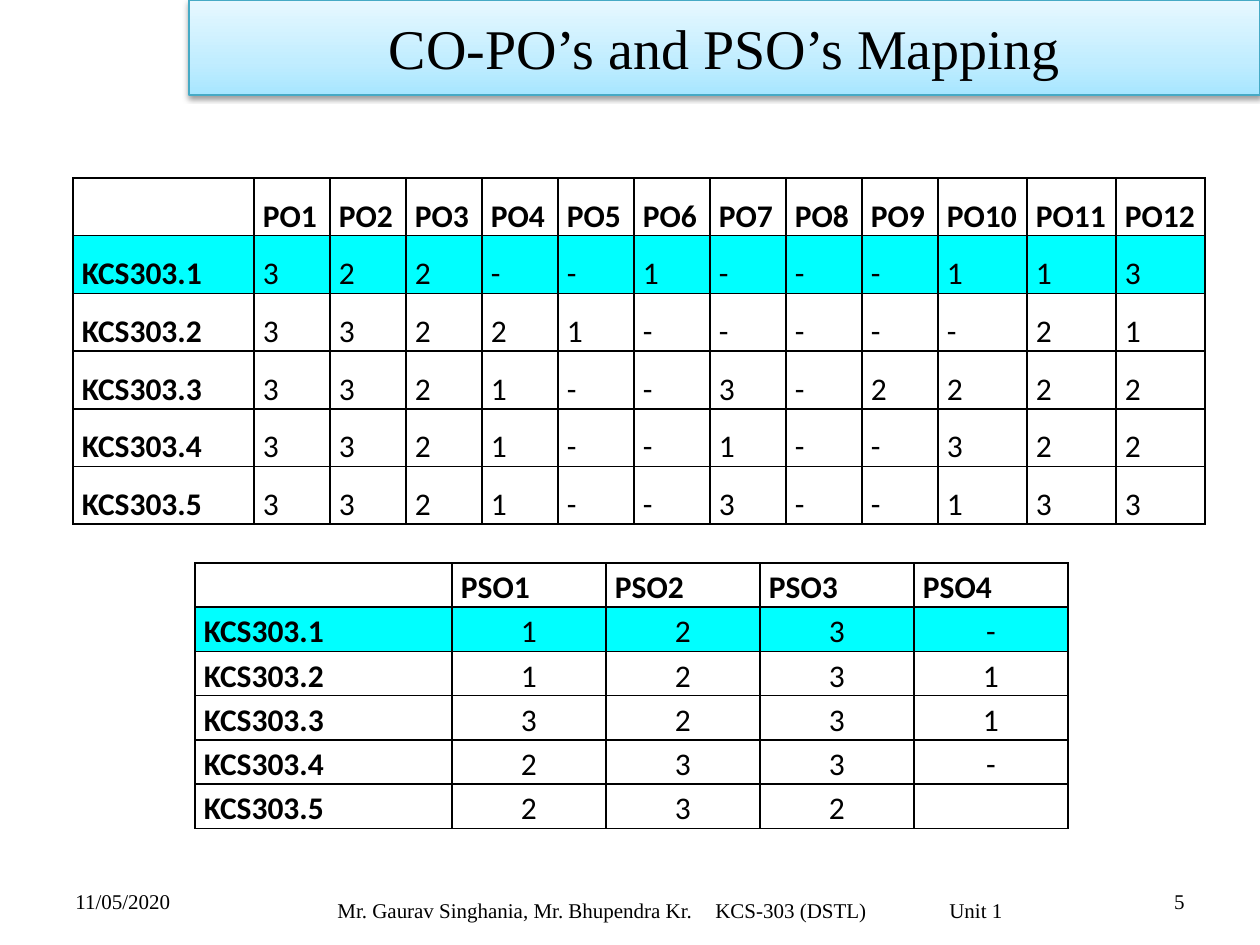
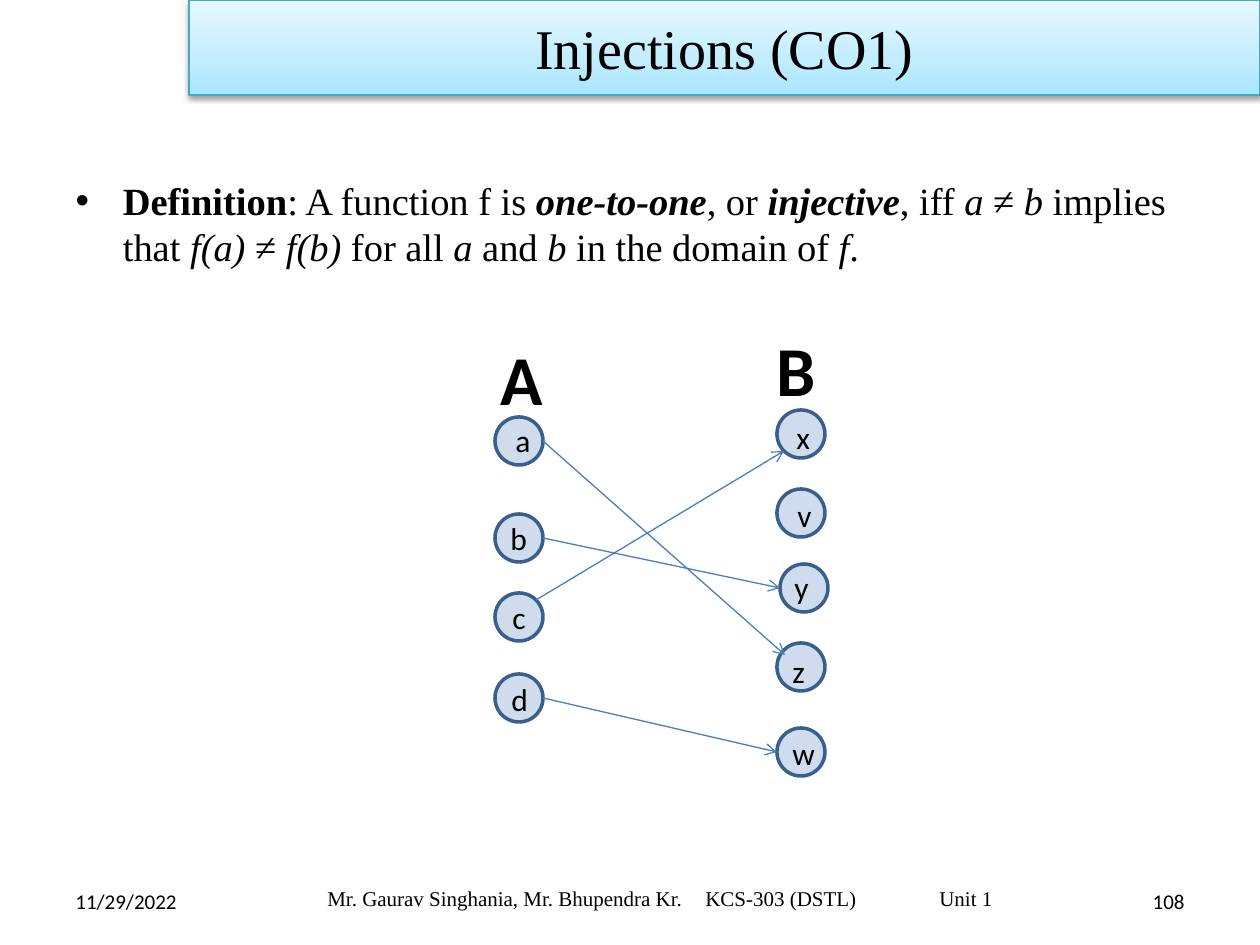
from collections import namedtuple

from pptx import Presentation
from pptx.dml.color import RGBColor
from pptx.enum.shapes import MSO_CONNECTOR, MSO_SHAPE
from pptx.enum.text import MSO_ANCHOR, PP_ALIGN
from pptx.oxml import parse_xml
from pptx.oxml.ns import nsdecls, qn
from pptx.util import Emu, Pt

PX = 914400 / 126
SLIDE_WIDTH, SLIDE_HEIGHT = 1260, 945

BLACK = RGBColor(0x00, 0x00, 0x00)
HIGHLIGHT = RGBColor(0x00, 0xFF, 0xFF)
BAND_LINE = RGBColor(0x46, 0xAA, 0xC5)
BAND_STOPS = [
    (0, RGBColor(0xA7, 0xE6, 0xFF)),
    (35, RGBColor(0xC1, 0xED, 0xFF)),
    (100, RGBColor(0xE7, 0xF8, 0xFF)),
]
NODE_FILL = RGBColor(0x4F, 0x81, 0xBD)
NODE_LINE = RGBColor(0x3A, 0x5F, 0x8C)
ARROW_LINE = RGBColor(0x4B, 0x7E, 0xBC)

SERIF, SANS = "Times New Roman", "Calibri"
FOOTER = "Mr. Gaurav Singhania, Mr. Bhupendra Kr.\tKCS-303 (DSTL)\tUnit 1"
FOOTER_TABS = (378, 612)

Box = namedtuple("Box", "left top width height")
TITLE_BAND = Box(189, 0, 1071, 95)
DATE = Box(63, 876, 294, 50)
NUMBER = Box(903, 876, 294, 50)
BODY = Box(63, 171, 1134, 648)

PO_COLUMNS = [181] + [76] * 9 + [89] * 3
PO_LEVELS = [
    "3,2,2,-,-,1,-,-,-,1,1,3",
    "3,3,2,2,1,-,-,-,-,-,2,1",
    "3,3,2,1,-,-,3,-,2,2,2,2",
    "3,3,2,1,-,-,1,-,-,3,2,2",
    "3,3,2,1,-,-,3,-,-,1,3,3",
]
PSO_COLUMNS = [257] + [154] * 4
PSO_LEVELS = ["1,2,3,-", "1,2,3,1", "3,2,3,1", "2,3,3,-", "2,3,2,"]

DEFINITION = [
    ("Definition", "b"), (": A function f is ", ""), ("one-to-one", "bi"),
    (", or ", ""), ("injective", "bi"), (", iff ", ""), ("a ", "i"),
    ("≠ ", ""), ("b ", "i"), ("implies that ", ""), ("f(a) ", "i"),
    ("≠ ", ""), ("f(b)", "i"), (" for all ", ""), ("a", "i"),
    (" and ", ""), ("b", "i"), (" in the domain of ", ""), ("f", "i"),
    (".", ""),
]

NODE_SIZE = 48
# Node name: circle position in the diagram, then label offset in the circle
NODES = {
    "a": (7, 97, 8, -2),
    "b": (7, 194, 3, -1),
    "c": (7, 273, 5, -1),
    "d": (7, 354, 4, 0),
    "v": (289, 169, 8, 1),
    "x": (289, 90, 7, 2),
    "y": (292, 244, 2, -2),
    "z": (289, 323, 3, 3),
    "w": (289, 408, 3, 0),
}
SET_NAMES = [("A", 0, 9), ("B", 276, 0)]
RIGHT, LEFT = (48, 24), (0, 24)
TOP_RIGHT, TOP_LEFT, BOTTOM_LEFT = (41, 7), (8, 12), (7, 41)
MAPPING = [
    ("b", RIGHT, "y", LEFT),
    ("a", RIGHT, "z", TOP_LEFT),
    ("c", TOP_RIGHT, "x", BOTTOM_LEFT),
    ("d", RIGHT, "w", LEFT),
]


def px(length):
    return Emu(round(length * PX))


def emu_box(box):
    return [px(length) for length in box]


def move(shape, box):
    shape.left, shape.top, shape.width, shape.height = emu_box(box)


def write(frame, text, *, size, font=SERIF, bold=False, align=None,
          line_spacing=None, space_after=None, tabs=()):
    """Fill the first paragraph from a string or from (text, style) pairs."""
    paragraph = frame.paragraphs[0]
    if tabs:
        stops = "".join(f'<a:tab pos="{px(tab)}" algn="l"/>' for tab in tabs)
        paragraph._p.get_or_add_pPr().append(
            parse_xml(f'<a:tabLst {nsdecls("a")}>{stops}</a:tabLst>'))
    paragraph.alignment = align
    paragraph.space_before = Pt(0)
    paragraph.line_spacing = line_spacing
    paragraph.space_after = space_after
    pairs = [(text, "b" if bold else "")] if isinstance(text, str) else text
    for words, style in pairs:
        run = paragraph.add_run()
        run.text = words
        run.font.name, run.font.size = font, Pt(size)
        run.font.bold, run.font.italic = "b" in style, "i" in style
        run.font.color.rgb = BLACK


def add_text(slide, box, text, *, anchor=MSO_ANCHOR.MIDDLE, **text_format):
    frame = slide.shapes.add_textbox(*emu_box(box)).text_frame
    frame.word_wrap = True
    frame.vertical_anchor = anchor
    write(frame, text, **text_format)
    return frame


def add_title_band(slide, text):
    title = slide.shapes.title
    move(title, TITLE_BAND)
    stops = "".join(
        f'<a:gs pos="{position * 1000}"><a:srgbClr val="{color}"/></a:gs>'
        for position, color in BAND_STOPS)
    properties = title.element.spPr
    properties.append(parse_xml(
        f'<a:prstGeom {nsdecls("a")} prst="rect"><a:avLst/></a:prstGeom>'))
    properties.append(parse_xml(
        f'<a:gradFill {nsdecls("a")} rotWithShape="1"><a:gsLst>{stops}</a:gsLst>'
        '<a:lin ang="16200000" scaled="0"/></a:gradFill>'))
    title.line.color.rgb = BAND_LINE
    title.line.width = Pt(0.75)
    properties.append(parse_xml(
        f'<a:effectLst {nsdecls("a")}><a:outerShdw blurRad="40000" dist="20000" '
        'dir="5400000" rotWithShape="0"><a:srgbClr val="000000">'
        '<a:alpha val="38000"/></a:srgbClr></a:outerShdw></a:effectLst>'))
    title.text_frame.vertical_anchor = MSO_ANCHOR.MIDDLE
    write(title.text_frame, text, size=32, align=PP_ALIGN.CENTER)


def add_footer(slide, date, number, box, font):
    add_text(slide, DATE, date, size=12, font=font)
    add_text(slide, NUMBER, number, size=12, font=font, align=PP_ALIGN.RIGHT)
    frame = add_text(slide, box, FOOTER, size=12, tabs=FOOTER_TABS)
    frame.margin_right = 0


def add_borders(cell):
    properties = cell._tc.get_or_add_tcPr()
    for side in "LRTB":
        properties.append(parse_xml(
            f'<a:ln{side} {nsdecls("a")} w="12700"><a:solidFill>'
            f'<a:srgbClr val="{BLACK}"/></a:solidFill></a:ln{side}>'))


def add_mapping_table(slide, box, widths, prefix, levels, *, line_spacing,
                      name_align, level_align):
    """Add a table of outcome levels with its first outcome highlighted."""
    header = [""] + [f"{prefix}{n}" for n in range(1, len(widths))]
    rows = [header] + [[f"KCS303.{n}", *line.split(",")]
                       for n, line in enumerate(levels, 1)]
    table = slide.shapes.add_table(
        len(rows), len(widths), *emu_box(box)).table
    table.first_row = table.horz_banding = False
    for column, width in zip(table.columns, widths):
        column.width = px(width)
    for row_index, row in enumerate(rows):
        table.rows[row_index].height = px(box.height // len(rows))
        for column_index, text in enumerate(row):
            cell = table.cell(row_index, column_index)
            cell.margin_left = cell.margin_right = px(9)
            cell.margin_top = cell.margin_bottom = 0
            add_borders(cell)
            if row_index == 1:
                cell.fill.solid()
                cell.fill.fore_color.rgb = HIGHLIGHT
            else:
                cell.fill.background()
            is_name = row_index == 0 or column_index == 0
            if text:
                write(cell.text_frame, text, size=18, font=SANS, bold=is_name,
                      align=name_align if is_name else level_align,
                      line_spacing=line_spacing, space_after=Pt(10))


def add_node(slide, left, top):
    circle = slide.shapes.add_shape(
        MSO_SHAPE.FLOWCHART_CONNECTOR,
        *emu_box((left, top, NODE_SIZE, NODE_SIZE)))
    circle.shadow.inherit = False
    circle.fill.solid()
    circle.fill.fore_color.rgb = NODE_FILL
    color = circle.element.spPr.find(qn("a:solidFill")).find(qn("a:srgbClr"))
    color.append(parse_xml(f'<a:alpha {nsdecls("a")} val="27000"/>'))
    circle.line.color.rgb = NODE_LINE
    circle.line.width = Pt(2)


def add_arrow(slide, start, end):
    arrow = slide.shapes.add_connector(
        MSO_CONNECTOR.STRAIGHT, *emu_box((*start, *end)))
    arrow.line.color.rgb = ARROW_LINE
    arrow.line.width = Pt(0.75)
    properties = arrow.element.spPr
    properties.find(qn("a:ln")).append(
        parse_xml(f'<a:tailEnd {nsdecls("a")} type="arrow"/>'))
    properties.append(parse_xml(f'<a:effectLst {nsdecls("a")}/>'))


def add_function_diagram(slide, box):
    for name, left, top in SET_NAMES:
        add_text(slide, Box(box.left + left, box.top + top, 72, 74), name,
                 size=40, font=SANS, bold=True, anchor=MSO_ANCHOR.TOP)
    for name, (left, top, label_left, label_top) in NODES.items():
        left, top = box.left + left, box.top + top
        add_node(slide, left, top)
        add_text(slide, Box(left + label_left, top + label_top, 33, 39), name,
                 size=18, font=SANS, anchor=MSO_ANCHOR.TOP)
    for source, source_site, target, target_site in MAPPING:
        start, end = (
            (box.left + NODES[name][0] + site[0],
             box.top + NODES[name][1] + site[1])
            for name, site in ((source, source_site), (target, target_site)))
        add_arrow(slide, start, end)


def build_mapping_slide(presentation):
    slide = presentation.slides.add_slide(presentation.slide_layouts[5])
    add_title_band(slide, "CO-PO’s and PSO’s Mapping")
    add_mapping_table(slide, Box(73, 178, sum(PO_COLUMNS), 300), PO_COLUMNS,
                      "PO", PO_LEVELS, line_spacing=1.5,
                      name_align=PP_ALIGN.LEFT, level_align=PP_ALIGN.LEFT)
    add_mapping_table(slide, Box(195, 563, sum(PSO_COLUMNS), 240), PSO_COLUMNS,
                      "PSO", PSO_LEVELS, line_spacing=1.15,
                      name_align=PP_ALIGN.JUSTIFY, level_align=PP_ALIGN.CENTER)
    add_footer(slide, "11/05/2020", "5", Box(325, 885, 693, 50), SERIF)


def build_injection_slide(presentation):
    slide = presentation.slides.add_slide(presentation.slide_layouts[1])
    add_title_band(slide, "Injections (CO1)")
    body = slide.placeholders[1]
    move(body, BODY)
    write(body.text_frame, DEFINITION, size=22)
    add_function_diagram(slide, Box(488, 320, 348, 460))
    add_footer(slide, "11/29/2022", "108", Box(315, 873, 693, 50), SANS)


def main():
    presentation = Presentation()
    presentation.slide_width = px(SLIDE_WIDTH)
    presentation.slide_height = px(SLIDE_HEIGHT)
    build_mapping_slide(presentation)
    build_injection_slide(presentation)
    presentation.save("out.pptx")


if __name__ == "__main__":
    main()
